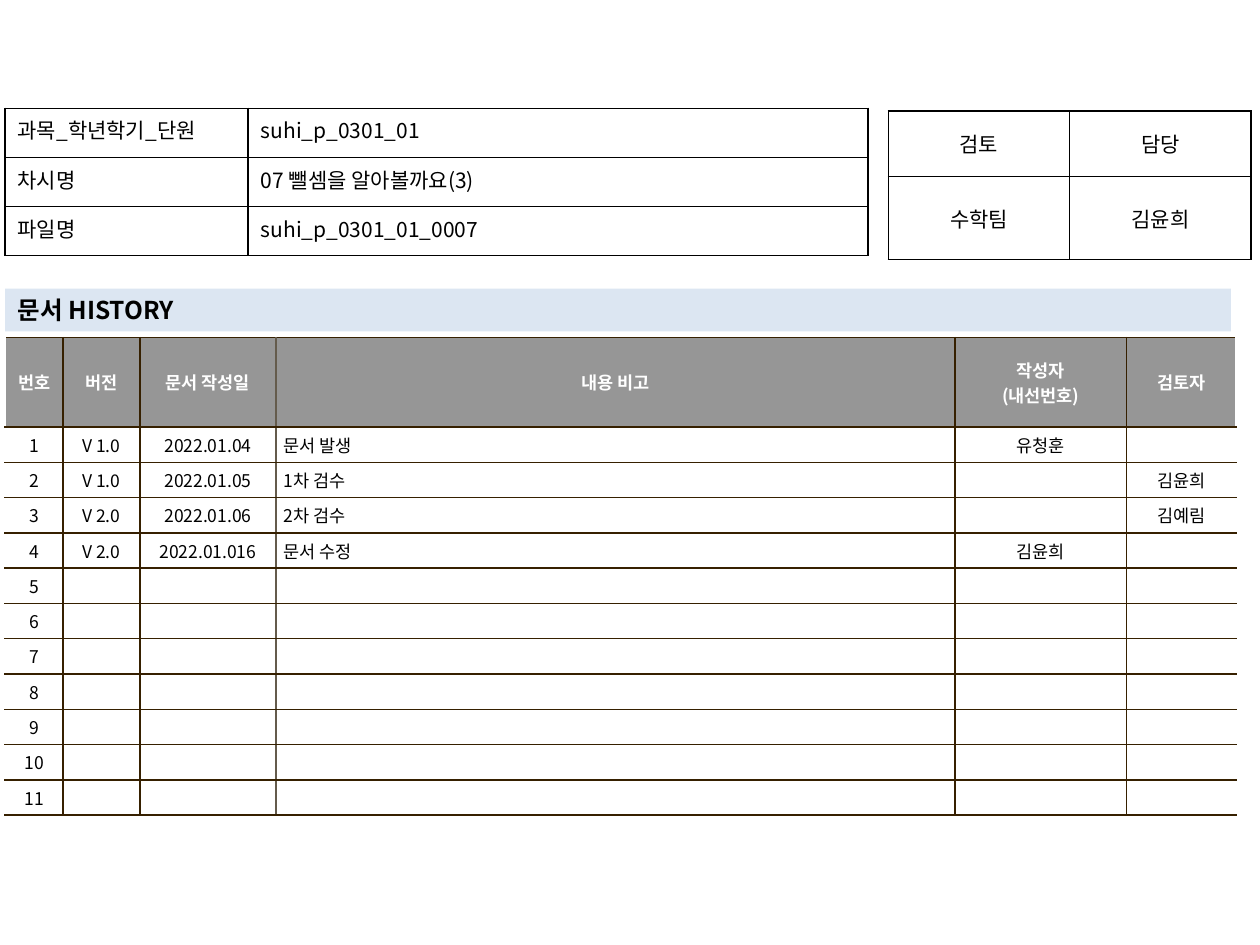
from dataclasses import dataclass
from typing import Optional

from lxml.etree import SubElement
from pptx import Presentation
from pptx.dml.color import RGBColor
from pptx.enum.text import MSO_ANCHOR, MSO_AUTO_SIZE, PP_ALIGN
from pptx.oxml.ns import qn
from pptx.util import Inches, Pt

FONT = "Noto Sans CJK KR"
COLORS = {
    "ink": "000000",
    "paper": "FFFFFF",
    "band": "DCE6F2",
    "header": "969696",
    "rule": "362000",
    "soft_rule": "645B4C",
}


@dataclass
class CellStyle:
    size: int
    align: PP_ALIGN
    anchor: MSO_ANCHOR
    inset: tuple[float, float]
    color: str = "ink"
    bold: bool = False
    fill: Optional[str] = None


@dataclass
class Grid:
    left: float
    top: float
    columns: list[float]
    heights: list[float]
    rows: list[list[str]]


def rgb(name: str) -> RGBColor:
    return RGBColor.from_string(COLORS[name])


def format_text(frame, size: int, color: str, bold: bool, align: PP_ALIGN) -> None:
    for paragraph in frame.paragraphs:
        paragraph.alignment = align
        for run in paragraph.runs:
            values = {"name": FONT, "size": Pt(size), "bold": bold}
            for key, value in values.items():
                setattr(run.font, key, value)
            run.font.color.rgb = rgb(color)
            SubElement(run._r.get_or_add_rPr(), qn("a:ea"), typeface=FONT)
        if not paragraph.runs:
            SubElement(paragraph._p, qn("a:endParaRPr"), sz=str(size * 100))


def draw_borders(cell, borders: dict[str, str]) -> None:
    properties = cell._tc.get_or_add_tcPr()
    for side in "LRTB":
        if side in borders:
            line = SubElement(properties, qn(f"a:ln{side}"), w=str(Pt(1)))
            solid = SubElement(line, qn("a:solidFill"))
            SubElement(solid, qn("a:srgbClr"), val=COLORS[borders[side]])


def fill_cell(cell, text: str, style: CellStyle, borders: dict[str, str]) -> None:
    cell.text = text
    across, down = (Inches(value) for value in style.inset)
    values = {
        "margin_left": across,
        "margin_right": across,
        "margin_top": down,
        "margin_bottom": down,
        "vertical_anchor": style.anchor,
    }
    for key, value in values.items():
        setattr(cell, key, value)
    draw_borders(cell, borders)
    if style.fill:
        cell.fill.solid()
        cell.fill.fore_color.rgb = rgb(style.fill)
    else:
        cell.fill.background()
    format_text(cell.text_frame, style.size, style.color, style.bold, style.align)


def add_grid(slide, grid: Grid):
    table = slide.shapes.add_table(
        len(grid.rows), len(grid.columns), Inches(grid.left), Inches(grid.top),
        Inches(sum(grid.columns)), Inches(sum(grid.heights)),
    ).table
    table.first_row = table.horz_banding = False
    for column, width in zip(table.columns, grid.columns):
        column.width = Inches(width)
    for row, height in zip(table.rows, grid.heights):
        row.height = Inches(height)
    return table


def add_boxed_table(slide, grid: Grid, styles: list[CellStyle]) -> None:
    table = add_grid(slide, grid)
    for r, texts in enumerate(grid.rows):
        for c, text in enumerate(texts):
            fill_cell(table.cell(r, c), text, styles[c], dict.fromkeys("LRTB", "ink"))


def history_borders(column: int, last: int) -> dict[str, str]:
    borders = dict.fromkeys("TB", "rule")
    if column > 0:
        borders["L"] = "soft_rule" if column == 3 else "rule"
    if column < last:
        borders["R"] = "soft_rule" if column == 2 else "rule"
    return borders


def add_history(slide, grid: Grid) -> None:
    table = add_grid(slide, grid)
    inset = (0.06, 0.04)
    header = CellStyle(10, PP_ALIGN.CENTER, MSO_ANCHOR.MIDDLE, inset, "paper", True, "header")
    entry = CellStyle(10, PP_ALIGN.CENTER, MSO_ANCHOR.MIDDLE, inset, fill="paper")
    remark = CellStyle(10, PP_ALIGN.LEFT, MSO_ANCHOR.MIDDLE, inset, fill="paper")
    for r, texts in enumerate(grid.rows):
        for c, text in enumerate(texts):
            style = header if r == 0 else remark if c == 3 else entry
            fill_cell(table.cell(r, c), text, style, history_borders(c, len(texts) - 1))


def add_heading(slide, text: str) -> None:
    heading = slide.shapes.title
    place = {"left": 0.04, "top": 2.29, "width": 9.73, "height": 0.34}
    for key, value in place.items():
        setattr(heading, key, Inches(value))
    heading.fill.solid()
    heading.fill.fore_color.rgb = rgb("band")
    frame = heading.text_frame
    frame.text = text
    frame.auto_size = MSO_AUTO_SIZE.NONE
    frame.vertical_anchor = MSO_ANCHOR.MIDDLE
    format_text(frame, 14, "ink", True, PP_ALIGN.LEFT)


def main() -> None:
    presentation = Presentation()
    presentation.slide_width = Inches(10)
    presentation.slide_height = Inches(7.5)
    slide = presentation.slides.add_slide(presentation.slide_layouts[5])
    add_heading(slide, "문서 HISTORY")

    entries = [
        ["V 1.0", "2022.01.04", "문서 발생", "유청훈", ""],
        ["V 1.0", "2022.01.05", "1차 검수", "", "김윤희"],
        ["V 2.0", "2022.01.06", "2차 검수", "", "김예림"],
        ["V 2.0", "2022.01.016", "문서 수정", "김윤희", ""],
    ]
    entries += [[""] * 5 for _ in range(7)]
    titles = ["번호", "버전", "문서 작성일", "내용 비고", "작성자\n(내선번호)", "검토자"]
    numbered = [[str(number), *entry] for number, entry in enumerate(entries, 1)]
    add_history(slide, Grid(
        0.04, 2.68, [0.46, 0.61, 1.08, 5.39, 1.36, 0.87],
        [0.71] + [0.25] * len(entries), [titles] + numbered,
    ))

    inset = (0.1, 0.05)
    approval = CellStyle(12, PP_ALIGN.CENTER, MSO_ANCHOR.MIDDLE, inset)
    add_boxed_table(slide, Grid(
        7.05, 0.88, [1.44, 1.44], [0.52, 0.66],
        [["검토", "담당"], ["수학팀", "김윤희"]],
    ), [approval, approval])

    label = CellStyle(12, PP_ALIGN.JUSTIFY, MSO_ANCHOR.TOP, inset)
    detail = CellStyle(12, PP_ALIGN.LEFT, MSO_ANCHOR.TOP, inset)
    add_boxed_table(slide, Grid(
        0.04, 0.86, [1.93, 4.92], [0.39] * 3,
        [
            ["과목_학년학기_단원", "suhi_p_0301_01"],
            ["차시명", "07 뺄셈을 알아볼까요(3)"],
            ["파일명", "suhi_p_0301_01_0007"],
        ],
    ), [label, detail])

    presentation.save("out.pptx")


if __name__ == "__main__":
    main()
